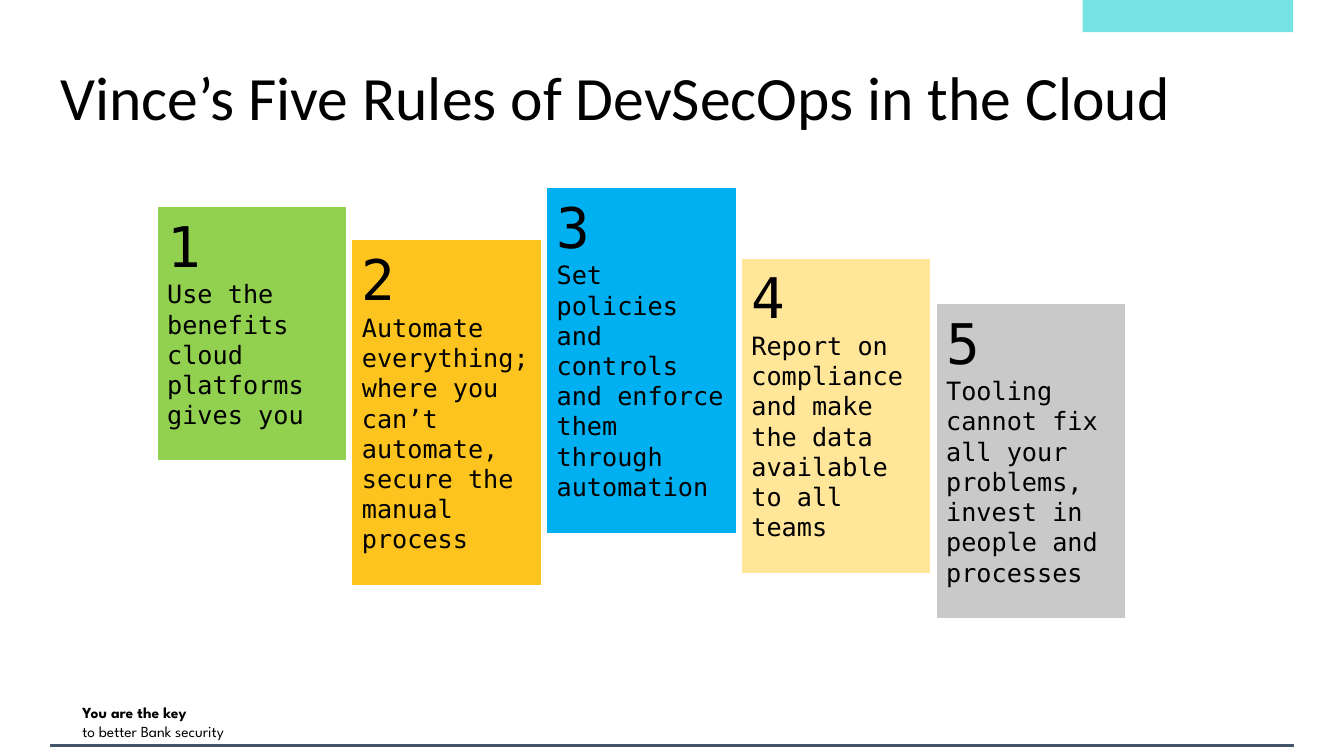
from dataclasses import dataclass

from lxml import etree
from pptx import Presentation
from pptx.dml.color import RGBColor
from pptx.enum.shapes import MSO_CONNECTOR, MSO_SHAPE
from pptx.enum.text import MSO_ANCHOR, MSO_AUTO_SIZE, PP_ALIGN
from pptx.oxml.ns import qn
from pptx.util import Pt

RECT = MSO_SHAPE.RECTANGLE
STRAIGHT = MSO_CONNECTOR.STRAIGHT
LEFT = PP_ALIGN.LEFT
TOP, MIDDLE = MSO_ANCHOR.TOP, MSO_ANCHOR.MIDDLE
GROW, FIXED = MSO_AUTO_SIZE.SHAPE_TO_FIT_TEXT, MSO_AUTO_SIZE.NONE


@dataclass(frozen=True)
class Theme:
    ink: str = "000000"
    edge: str = "FFFFFF"
    accent: str = "77E3E4"
    rule: str = "44546A"
    head_font: str = "Calibri"
    card_font: str = "DejaVu Sans Mono"
    foot_font: str = "League Spartan"
    head_size: int = 44
    digit_size: int = 40
    body_size: int = 18
    foot_size: int = 11


class Board:
    def __init__(self, slide, theme):
        self.slide = slide
        self.theme = theme

    def style(self, para, font, size, bold=False):
        para.alignment = LEFT
        for run in para.runs:
            run.font.name = font
            run.font.size = Pt(size)
            run.font.bold = bold
            run.font.color.rgb = RGBColor.from_string(self.theme.ink)

    def title(self, text, left, top, width, height):
        head = self.slide.shapes.title
        head.left, head.top = Pt(left), Pt(top)
        head.width, head.height = Pt(width), Pt(height)
        frame = head.text_frame
        frame.text = text
        frame.word_wrap = True
        frame.auto_size = FIXED
        frame.vertical_anchor = MIDDLE
        para = frame.paragraphs[0]
        para.line_spacing = 0.9
        self.style(para, self.theme.head_font, self.theme.head_size)

    def block(self, fill, left, top, width, height):
        shape = self.slide.shapes.add_shape(
            RECT, Pt(left), Pt(top), Pt(width), Pt(height))
        shape.shadow.inherit = False
        shape.fill.solid()
        shape.fill.fore_color.rgb = RGBColor.from_string(fill)
        shape.line.fill.background()
        return shape

    def card(self, digit, text, fill, left, top, width, height):
        shape = self.block(fill, left, top, width, height)
        shape.line.color.rgb = RGBColor.from_string(self.theme.edge)
        shape.line.width = Pt(0.75)
        frame = shape.text_frame
        frame.text = f"{digit}\n{text}"
        frame.word_wrap = True
        frame.auto_size = GROW
        frame.vertical_anchor = TOP
        sizes = self.theme.digit_size, self.theme.body_size
        for para, size in zip(frame.paragraphs, sizes):
            self.style(para, self.theme.card_font, size)

    def footer(self, text, left, top, width, height):
        """Add a note whose first line is bold."""
        box = self.slide.shapes.add_textbox(
            Pt(left), Pt(top), Pt(width), Pt(height))
        frame = box.text_frame
        frame.text = text
        frame.word_wrap = False
        frame.auto_size = GROW
        for i, para in enumerate(frame.paragraphs):
            self.style(para, self.theme.foot_font, self.theme.foot_size, i == 0)

    def rule(self, left, right, y):
        line = self.slide.shapes.add_connector(
            STRAIGHT, Pt(left), Pt(y), Pt(right), Pt(y))
        line.line.color.rgb = RGBColor.from_string(self.theme.rule)
        line.line.width = Pt(2.25)
        etree.SubElement(line._element.spPr, qn("a:effectLst"))


# Text, fill, top and height of each card
RULES = [
    ("Use the benefits cloud platforms gives you", "92D050", 147.6, 181.4),
    ("Automate everything; where you can’t automate, secure the manual process",
     "FDC41F", 171.4, 247),
    ("Set policies and controls and enforce them through automation",
     "00B0F0", 133.9, 247),
    ("Report on compliance and make the data available to all teams",
     "FFE699", 184.3, 225.4),
    ("Tooling cannot fix all your problems, invest in people and processes",
     "C9C9C9", 216.7, 225.4),
]
START, PITCH, WIDTH = 112.3, 139.1, 135.4


def main():
    deck = Presentation()
    deck.slide_width, deck.slide_height = Pt(960), Pt(540)
    theme = Theme()
    board = Board(deck.slides.add_slide(deck.slide_layouts[5]), theme)
    board.block(theme.accent, 773.3, 0, 150.5, 23)
    board.footer("You are the key\nto better Bank security",
                 51.8, 499, 134.6, 33.8)
    board.rule(36, 924, 532.8)
    board.title("Vince’s Five Rules of DevSecOps in the Cloud",
                36, 36, 888, 72)
    for i, (text, fill, top, height) in enumerate(RULES):
        board.card(i + 1, text, fill, START + i * PITCH, top, WIDTH, height)
    deck.save("out.pptx")


if __name__ == "__main__":
    main()
